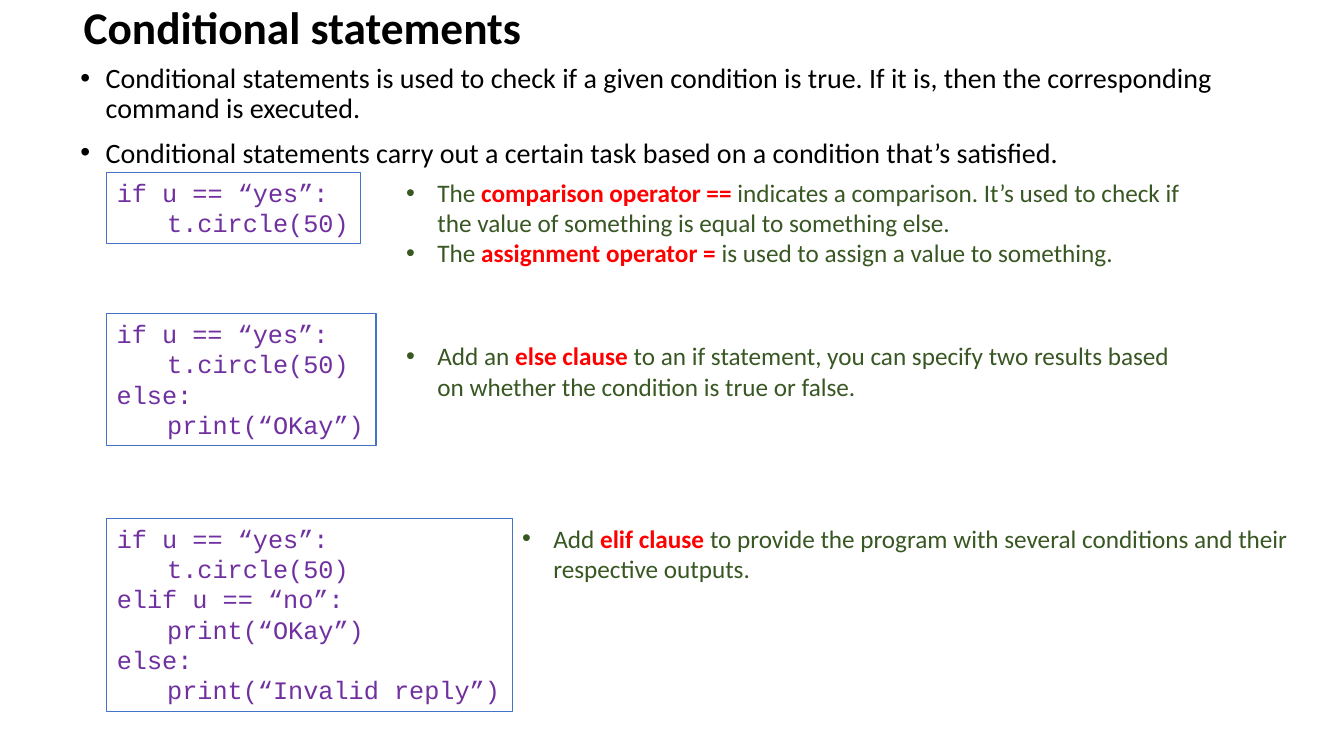
import pptx
import pptx.util
import pptx.dml.color
import pptx.enum.shapes
import pptx.enum.text
import pptx.oxml
import pptx.oxml.ns
from lxml import etree

Inches = pptx.util.Inches
Pt = pptx.util.Pt
ALIGN = pptx.enum.text.PP_ALIGN
ANCHOR = pptx.enum.text.MSO_ANCHOR
FIT = pptx.enum.text.MSO_AUTO_SIZE

BLACK, GREEN, RED = "000000", "385723", "FF0000"
PURPLE, BLUE = "7030A0", "4472C4"

FRAME = {"word_wrap": True, "vertical_anchor": ANCHOR.TOP, "auto_size": FIT.NONE}
GROW = {**FRAME, "auto_size": FIT.SHAPE_TO_FIT_TEXT}
TITLE = {"name": "Calibri", "size": Pt(32.4), "bold": True}
BODY = {"name": "Calibri", "size": Pt(20), "bold": False}
NOTE = {"name": "Calibri", "size": Pt(18), "bold": False}
KEY = {**NOTE, "bold": True}
CODE = {"name": "Courier New", "size": Pt(18), "bold": False}
TIGHT = {"alignment": ALIGN.LEFT, "line_spacing": 0.9}
SPACED = {**TIGHT, "space_before": Pt(10)}
PLAIN = {"alignment": ALIGN.LEFT}

POINTS = [
    "Conditional statements is used to check if a given condition is true. If it is, then the corresponding command is executed.",
    "Conditional statements carry out a certain task based on a condition that’s satisfied.",
]

CASES = [
    ((1.06, 1.71, 2.52, 0.71),
     ["if u == “yes”:", "\tt.circle(50)"],
     (3.93, 1.71, 8.08, 1.01),
     [("The ", "comparison operator == ",
       "indicates a comparison. It’s used to check if the value of something is equal to something else."),
      ("The ", "assignment operator =", " is used to assign a value to something.")]),
    ((1.06, 3.11, 2.67, 1.31),
     ["if u == “yes”:", "\tt.circle(50)", "else:", "\tprint(“OKay”)"],
     (3.93, 3.33, 8.08, 0.71),
     [("Add an ", "else clause ",
       "to an if statement, you can specify two results based on whether the condition is true or false.")]),
    ((1.06, 5.14, 4.02, 1.92),
     ["if u == “yes”:", "\tt.circle(50)", "elif u == “no”:", "\tprint(“OKay”)",
      "else:", "\tprint(“Invalid reply”)"],
     (5.08, 5.14, 8.08, 0.71),
     [("Add ", "elif clause ",
       "to provide the program with several conditions and their respective outputs.")]),
]


def style(target, values):
    for name, value in values.items():
        setattr(target, name, value)


def color(code):
    return pptx.dml.color.RGBColor.from_string(code)


def lengths(box):
    return [Inches(n) for n in box]


def write(para, text, font, code):
    run = para.add_run()
    run.text = text
    style(run.font, font)
    run.font.color.rgb = color(code)


def lines(frame, count, form):
    for i in range(count):
        para = frame.paragraphs[0] if i == 0 else frame.add_paragraph()
        style(para, form)
        yield para


def detail(para, tag, **values):
    props = para._p.get_or_add_pPr()
    node = etree.SubElement(props, pptx.oxml.ns.qn(tag))
    for name, value in values.items():
        node.set(name, value)
    return node


def bullet(para, indent):
    props = para._p.get_or_add_pPr()
    props.set("marL", str(Inches(indent)))
    props.set("indent", str(-Inches(indent)))
    detail(para, "a:buFont", typeface="Arial")
    detail(para, "a:buChar", char="•")


def heading(slide, box, text):
    shape = slide.shapes.title
    style(shape, dict(zip(("left", "top", "width", "height"), lengths(box))))
    frame = shape.text_frame
    style(frame, {**FRAME, "vertical_anchor": ANCHOR.MIDDLE})
    for para in lines(frame, 1, TIGHT):
        write(para, text, TITLE, BLACK)


def intro(slide, box, points):
    frame = slide.shapes.add_textbox(*lengths(box)).text_frame
    style(frame, FRAME)
    for para, text in zip(lines(frame, len(points), SPACED), points):
        bullet(para, 0.25)
        write(para, text, BODY, BLACK)


def code_box(slide, box, rows):
    kind = pptx.enum.shapes.MSO_SHAPE.RECTANGLE
    shape = slide.shapes.add_shape(kind, *lengths(box))
    shape.shadow.inherit = False
    shape.fill.background()
    shape.line.color.rgb = color(BLUE)
    shape.line.width = Pt(0.75)
    frame = shape.text_frame
    style(frame, {**GROW, "word_wrap": False})
    for para, text in zip(lines(frame, len(rows), PLAIN), rows):
        stops = detail(para, "a:tabLst")
        stop = etree.SubElement(stops, pptx.oxml.ns.qn("a:tab"))
        stop.set("pos", str(Inches(0.5)))
        stop.set("algn", "l")
        write(para, text, CODE, PURPLE)


def remarks(slide, box, notes):
    frame = slide.shapes.add_textbox(*lengths(box)).text_frame
    style(frame, GROW)
    for para, (start, key, end) in zip(lines(frame, len(notes), PLAIN), notes):
        bullet(para, 0.31)
        write(para, start, NOTE, GREEN)
        write(para, key, KEY, RED)
        write(para, end, NOTE, GREEN)


def main():
    deck = pptx.Presentation()
    style(deck, {"slide_width": Inches(13.33), "slide_height": Inches(7.5)})
    slide = deck.slides.add_slide(deck.slide_layouts[5])
    heading(slide, (0.73, 0, 11.93, 0.59), "Conditional statements")
    intro(slide, (0.7, 0.59, 11.93, 6.91), POINTS)
    for code_at, rows, note_at, notes in CASES:
        code_box(slide, code_at, rows)
        remarks(slide, note_at, notes)
    deck.save("out.pptx")


if __name__ == "__main__":
    main()
